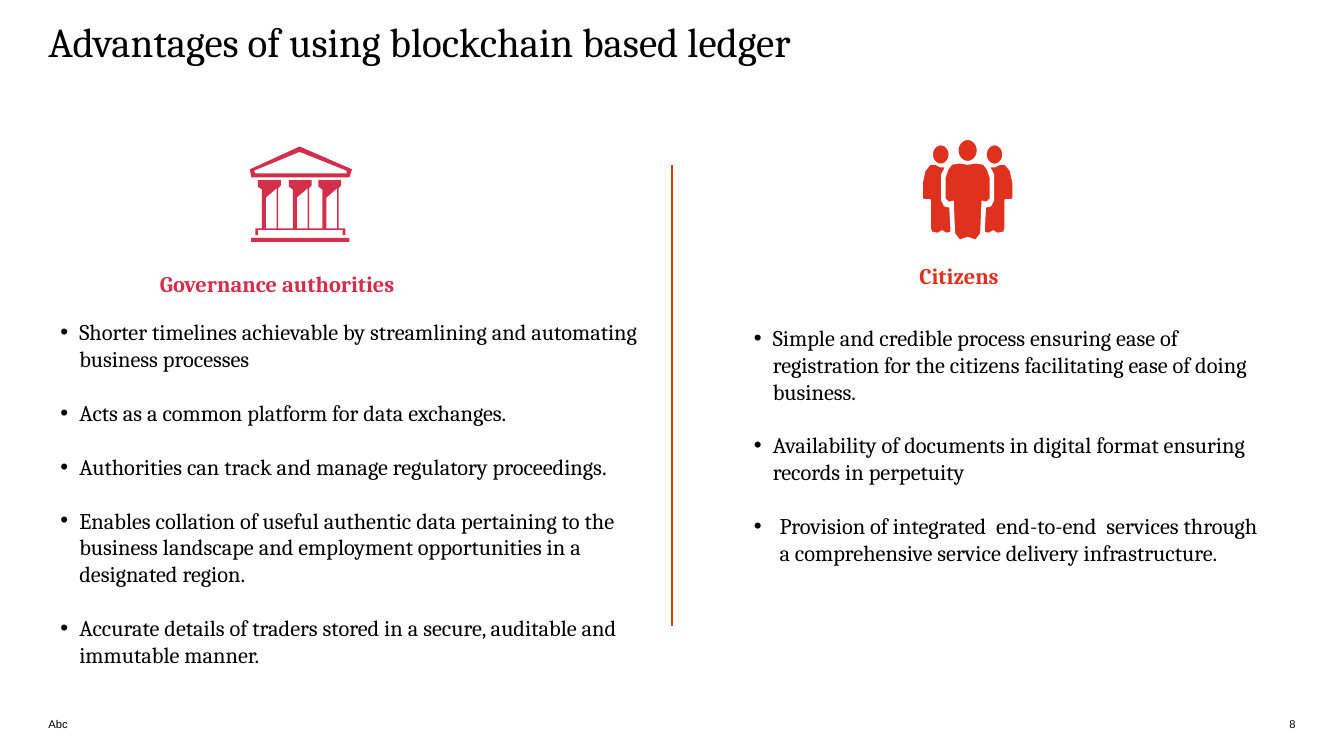
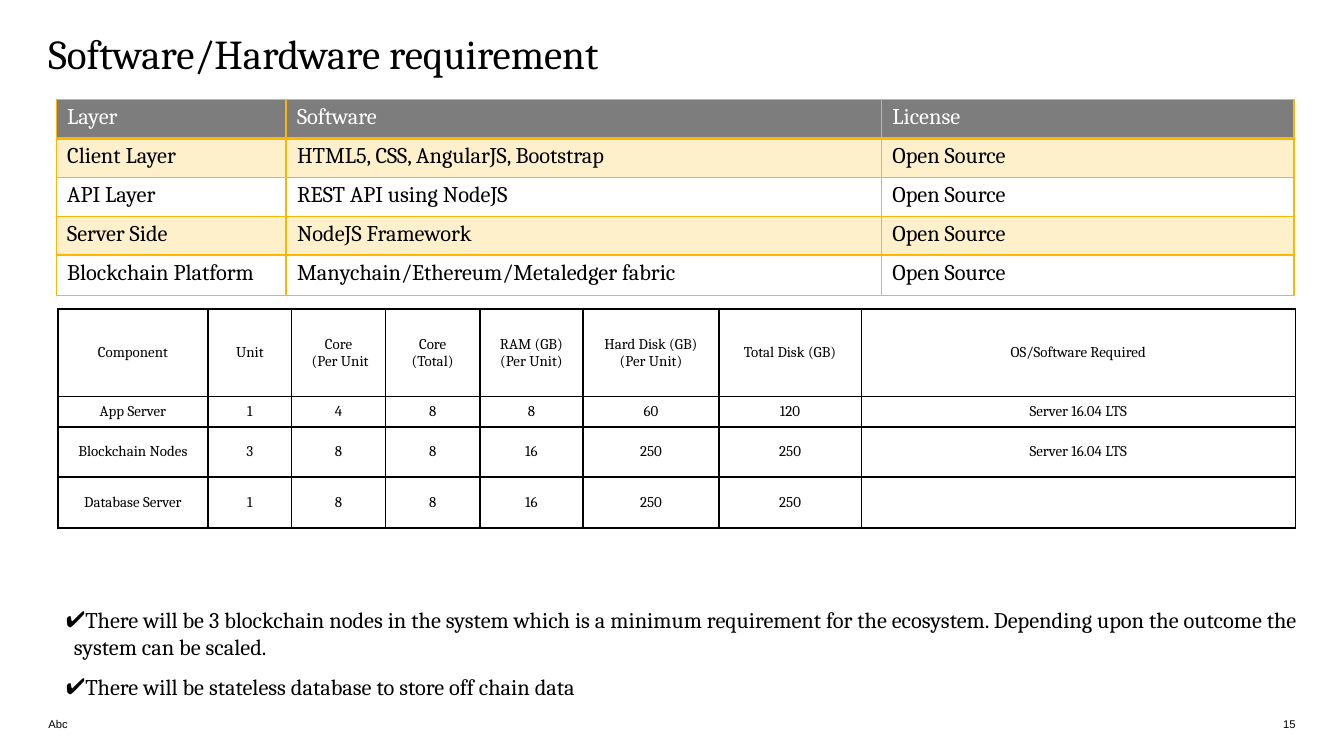
from math import cos, pi, sin

from lxml.etree import SubElement
from pptx import Presentation
from pptx.dml.color import RGBColor
from pptx.enum.shapes import MSO_CONNECTOR as Connector
from pptx.enum.text import MSO_ANCHOR as Anchor, MSO_AUTO_SIZE as AutoSize, PP_ALIGN as Align
from pptx.oxml.ns import qn
from pptx.util import Inches, Pt

# Shared look
BLACK, WHITE, GREY = "000000", "FFFFFF", "7D7D7D"
ROSE, RED, ORANGE, AMBER = "D32E4A", "E0301E", "D04600", "FFB600"
SERIF, SANS = "Cambria", "Arial"
TITLE = dict(size=Pt(22), name=SERIF)
BODY = dict(size=Pt(12), name=SERIF)
LABEL = dict(BODY, bold=True)
SMALL = dict(size=Pt(8), name=SERIF)
FOOTER = dict(size=Pt(6), name=SANS)
COMPANY = "Abc"
PLAIN_TABLE = "{2D5ABB26-0587-4C30-8999-92F81FD0307C}"

# Advantages: bullets are (text, hanging indent)
AUTHORITY_POINTS = [
    ("Shorter timelines achievable by streamlining and automating business processes", 0.14),
    ("Acts as a common platform for data exchanges.", 0.14),
    ("Authorities can track and manage regulatory proceedings.", 0.14),
    ("Enables collation of useful authentic data pertaining to the business landscape "
     "and employment opportunities in a designated region.", 0.14),
    ("Accurate details of traders stored in a secure, auditable and immutable manner.", 0.14),
]
CITIZEN_POINTS = [
    ("Simple and credible process ensuring ease of registration for the citizens "
     "facilitating ease of doing business.", 0.14),
    ("Availability of documents in digital format ensuring records in perpetuity", 0.14),
    ("Provision of integrated  end-to-end  services through a comprehensive service "
     "delivery infrastructure.", 0.19),
]

# Requirements
SOFTWARE = [
    ("Layer", "Software", "License"),
    ("Client Layer", "HTML5, CSS, AngularJS, Bootstrap", "Open Source"),
    ("API Layer", "REST API using NodeJS", "Open Source"),
    ("Server Side", "NodeJS Framework", "Open Source"),
    ("Blockchain Platform", "Manychain/Ethereum/Metaledger fabric", "Open Source"),
]
HARDWARE = [
    ("Component", "Unit", "Core\n (Per Unit", "Core (Total)", "RAM (GB)\n(Per Unit)",
     "Hard Disk (GB) (Per Unit)", "Total Disk (GB)", "OS/Software Required"),
    ("App Server", "1", "4", "8", "8", "60", "120", "Server 16.04 LTS"),
    ("Blockchain Nodes", "3", "8", "8", "16", "250", "250", "Server 16.04 LTS"),
    ("Database Server", "1", "8", "8", "16", "250", "250", ""),
]
NODE_NOTES = [
    ("There will be 3 blockchain nodes in the system which is a minimum requirement for "
     "the ecosystem. Depending upon the outcome the system can be scaled.", 0.06),
    ("There will be stateless database to store off chain data", 0.06),
]

# Icon outlines: people are offsets from the middle of the group
GROUP_X = 7.2
FRONT_HALF = [(0, 1.22), (0.06, 1.21), (0.12, 1.22), (0.15, 1.26), (0.17, 1.32), (0.17, 1.48),
              (0.14, 1.51), (0.11, 1.5), (0.1, 1.74), (0.06, 1.79), (0, 1.77)]
SIDE_BODY = [(0.34, 1.36), (0.32, 1.27), (0.28, 1.22), (0.24, 1.22), (0.2, 1.24), (0.16, 1.24),
             (0.19, 1.3), (0.19, 1.49), (0.17, 1.53), (0.13, 1.54), (0.12, 1.73), (0.16, 1.74),
             (0.19, 1.72), (0.22, 1.74), (0.27, 1.73), (0.28, 1.7), (0.28, 1.49),
             (0.32, 1.49), (0.34, 1.48)]
ROOF = [(1.86, 1.26), (2.23, 1.09), (2.62, 1.26), (2.6, 1.32), (1.87, 1.32)]
GABLE = [(1.89, 1.27), (1.9, 1.29), (2.58, 1.29), (2.58, 1.27), (2.23, 1.13)]
STEP = [(1.9, 1.7), (2.57, 1.7), (2.57, 1.75), (2.55, 1.75), (2.55, 1.71),
        (1.92, 1.71), (1.92, 1.75), (1.9, 1.75)]
FLOOR = [(1.87, 1.77), (2.6, 1.77), (2.6, 1.8), (1.87, 1.8)]
COLUMN = [(0, 1.34), (0.17, 1.34), (0.17, 1.38), (0.15, 1.4), (0.15, 1.7), (0.03, 1.7),
          (0.03, 1.41), (0, 1.39)]
COLUMN_GAP = [(0.14, 1.4), (0.06, 1.47), (0.06, 1.7), (0.14, 1.7)]
COLUMN_LEFTS = (1.92, 2.15, 2.37)


def rgb(value):
    return RGBColor.from_string(value)


def place(shape, at):
    for side, value in zip(("left", "top", "width", "height"), at):
        setattr(shape, side, Inches(value))


def write(para, text, style, color=BLACK, align=Align.LEFT):
    para.alignment = align
    span = para.add_run()
    span.text = text
    for key, value in style.items():
        setattr(span.font, key, value)
    span.font.color.rgb = rgb(color)


def prepare(shape, at, anchor=Anchor.TOP):
    place(shape, at)
    frame = shape.text_frame
    settings = dict(margin_left=0, margin_top=0, margin_right=0, margin_bottom=0,
                    word_wrap=True, auto_size=AutoSize.NONE, vertical_anchor=anchor)
    for key, value in settings.items():
        setattr(frame, key, value)
    return frame


def add_text(page, at, text, style, color=BLACK, align=Align.LEFT, anchor=Anchor.TOP):
    frame = prepare(page.shapes.add_textbox(0, 0, 0, 0), at, anchor)
    write(frame.paragraphs[0], text, style, color, align)


def fill_list(box, at, points, mark, gap, first_gap=0, anchor=Anchor.TOP):
    frame = prepare(box, at, anchor)
    for number, (text, indent) in enumerate(points):
        para = frame.add_paragraph() if number else frame.paragraphs[0]
        write(para, text, BODY)
        para.space_before = Pt(gap if number else first_gap)
        para.space_after = Pt(0)
        props = para._p.get_or_add_pPr()
        props.set("marL", str(Inches(indent)))
        props.set("indent", str(-Inches(indent)))
        SubElement(SubElement(props, qn("a:buClr")), qn("a:srgbClr"), val=BLACK)
        SubElement(props, qn("a:buFont"), typeface=SANS)
        SubElement(props, qn("a:buChar"), char=mark)
    return frame


def start_page(deck, layout, title, title_at, number):
    page = deck.slides.add_slide(deck.slide_layouts[layout])
    para = prepare(page.shapes.title, title_at).paragraphs[0]
    para.line_spacing = 0.85
    write(para, title, TITLE)
    add_text(page, (0.36, 5.33, 4.49, 0.11), COMPANY, FOOTER, anchor=Anchor.BOTTOM)
    add_text(page, (8.19, 5.33, 1.45, 0.11), number, FOOTER, align=Align.RIGHT,
             anchor=Anchor.BOTTOM)
    return page


def add_icon(page, outlines, color, line=None):
    scaled = [[(Inches(x), Inches(y)) for x, y in outline] for outline in outlines]
    builder = page.shapes.build_freeform(*scaled[0][0], scale=1.0)
    for number, points in enumerate(scaled):
        if number:
            builder.move_to(*points[0])
        builder.add_line_segments(points[1:], close=True)
    icon = builder.convert_to_shape()
    icon.shadow.inherit = False
    icon.fill.solid()
    icon.fill.fore_color.rgb = rgb(color)
    if line:
        icon.line.color.rgb = rgb(line)
        icon.line.width = Pt(1)
    else:
        icon.line.fill.background()


def mirror(points):
    return [(-x, y) for x, y in points]


def shift(points, offset):
    return [(x + offset, y) for x, y in points]


def oval(x, y, width, height, steps=24):
    angles = [2 * pi * step / steps for step in range(steps)]
    return [(x + width / 2 * cos(a), y + height / 2 * sin(a)) for a in angles]


def bank_outlines():
    columns = [shift(part, left) for left in COLUMN_LEFTS for part in (COLUMN, COLUMN_GAP)]
    return [ROOF, GABLE, STEP, FLOOR] + columns


def people_outlines():
    side_head = oval(0.2, 1.15, 0.13, 0.15)
    parts = [SIDE_BODY, side_head, mirror(SIDE_BODY), mirror(side_head),
             FRONT_HALF + mirror(FRONT_HALF)[-2:0:-1], oval(0, 1.12, 0.15, 0.17)]
    return [shift(part, GROUP_X) for part in parts]


def set_borders(cell, color, widths):
    props = cell._tc.get_or_add_tcPr()
    for side, width in zip("LRTB", widths):
        line = SubElement(props, qn(f"a:ln{side}"), w=str(Pt(width)), cap="flat", cmpd="sng")
        SubElement(SubElement(line, qn("a:solidFill")), qn("a:srgbClr"), val=color)
        SubElement(line, qn("a:prstDash"), val="solid")


def fill_cell(cell, color, alpha=None):
    if not color:
        cell.fill.background()
        return
    cell.fill.solid()
    cell.fill.fore_color.rgb = rgb(color)
    if alpha:
        tint = cell._tc.tcPr.find(qn("a:solidFill")).find(qn("a:srgbClr"))
        SubElement(tint, qn("a:alpha"), val=str(alpha * 1000))


def add_grid(page, at, rows, widths, heights, format_cell):
    size = [Inches(value) for value in at]
    table = page.shapes.add_table(len(rows), len(widths), *size).table
    table.first_row = table.horz_banding = False
    table._tbl.tblPr.find(qn("a:tableStyleId")).text = PLAIN_TABLE
    for column, width in zip(table.columns, widths):
        column.width = Inches(width)
    for line, height in zip(table.rows, heights):
        line.height = Inches(height)
    for r, row in enumerate(rows):
        for c, text in enumerate(row):
            format_cell(table.cell(r, c), r, text)


def software_cell(cell, row, text):
    margins = dict(left=0.08, top=0.04, right=0.08, bottom=0.04)
    for side, value in margins.items():
        setattr(cell, f"margin_{side}", Inches(value))
    set_borders(cell, AMBER, (1, 1, 2 if row == 1 else 1, 2 if row == 0 else 1))
    if row == 0:
        fill_cell(cell, GREY)
    else:
        fill_cell(cell, AMBER if row % 2 else None, alpha=20)
    write(cell.text_frame.paragraphs[0], text, BODY, BLACK if row else WHITE)


def hardware_cell(cell, row, text):
    cell.vertical_anchor = Anchor.MIDDLE
    set_borders(cell, BLACK, (1, 1, 1, 1))
    fill_cell(cell, None)
    frame = cell.text_frame
    if not text:
        # The empty cell sets the height of its row
        ending = SubElement(frame.paragraphs[0]._p, qn("a:endParaRPr"), sz="1800")
        SubElement(ending, qn("a:latin"), typeface=SANS)
        return
    for number, line in enumerate(text.split("\n")):
        para = frame.add_paragraph() if number else frame.paragraphs[0]
        write(para, line, SMALL, align=Align.CENTER)


def advantages_page(deck):
    page = start_page(deck, 3, "Advantages of using blockchain based ledger",
                      (0.36, 0.18, 9.27, 0.71), "8")
    # Bullet columns, one empty line apart
    left, right = page.placeholders[1], page.placeholders[2]
    fill_list(left, (0.45, 2.68, 4.33, 1.98), AUTHORITY_POINTS, "•", 14.4, anchor=Anchor.MIDDLE)
    frame = fill_list(right, (5.61, 2.5, 3.85, 1.82), CITIZEN_POINTS, "•", 14.4,
                      anchor=Anchor.MIDDLE)
    frame.margin_bottom = Inches(0.2)
    # Column heads
    add_text(page, (1.19, 2.01, 2.1, 0.28), "Governance authorities", LABEL, ROSE)
    add_text(page, (6.84, 1.95, 0.85, 0.2), "Citizens", LABEL, RED)
    add_icon(page, people_outlines(), RED, WHITE)
    add_icon(page, bank_outlines(), ROSE)
    # Divider
    divider = page.shapes.add_connector(Connector.STRAIGHT, Inches(5), Inches(1.23),
                                        Inches(5), Inches(4.66))
    divider.line.color.rgb = rgb(ORANGE)
    divider.line.width = Pt(0.75)
    SubElement(divider._element.spPr, qn("a:effectLst"))


def requirements_page(deck):
    page = start_page(deck, 1, "Software/Hardware requirement", (0.36, 0.27, 9.29, 0.3), "15")
    add_grid(page, (0.42, 0.74, 9.21, 1.45), SOFTWARE, (1.71, 4.43, 3.07),
             (0.29, 0.29, 0.29, 0.29, 0.3), software_cell)
    add_grid(page, (0.43, 2.3, 9.22, 1.62), HARDWARE,
             (1.12, 0.62, 0.7, 0.7, 0.77, 1.01, 1.06, 3.23),
             (0.65, 0.22, 0.37, 0.22), hardware_cell)
    fill_list(page.placeholders[1], (0.49, 4.51, 9.27, 0.81), NODE_NOTES, "✔", 7, first_gap=7)


def main():
    deck = Presentation()
    deck.slide_width = Inches(10)
    deck.slide_height = deck.slide_width * 9 // 16
    advantages_page(deck)
    requirements_page(deck)
    deck.save("out.pptx")


if __name__ == "__main__":
    main()
